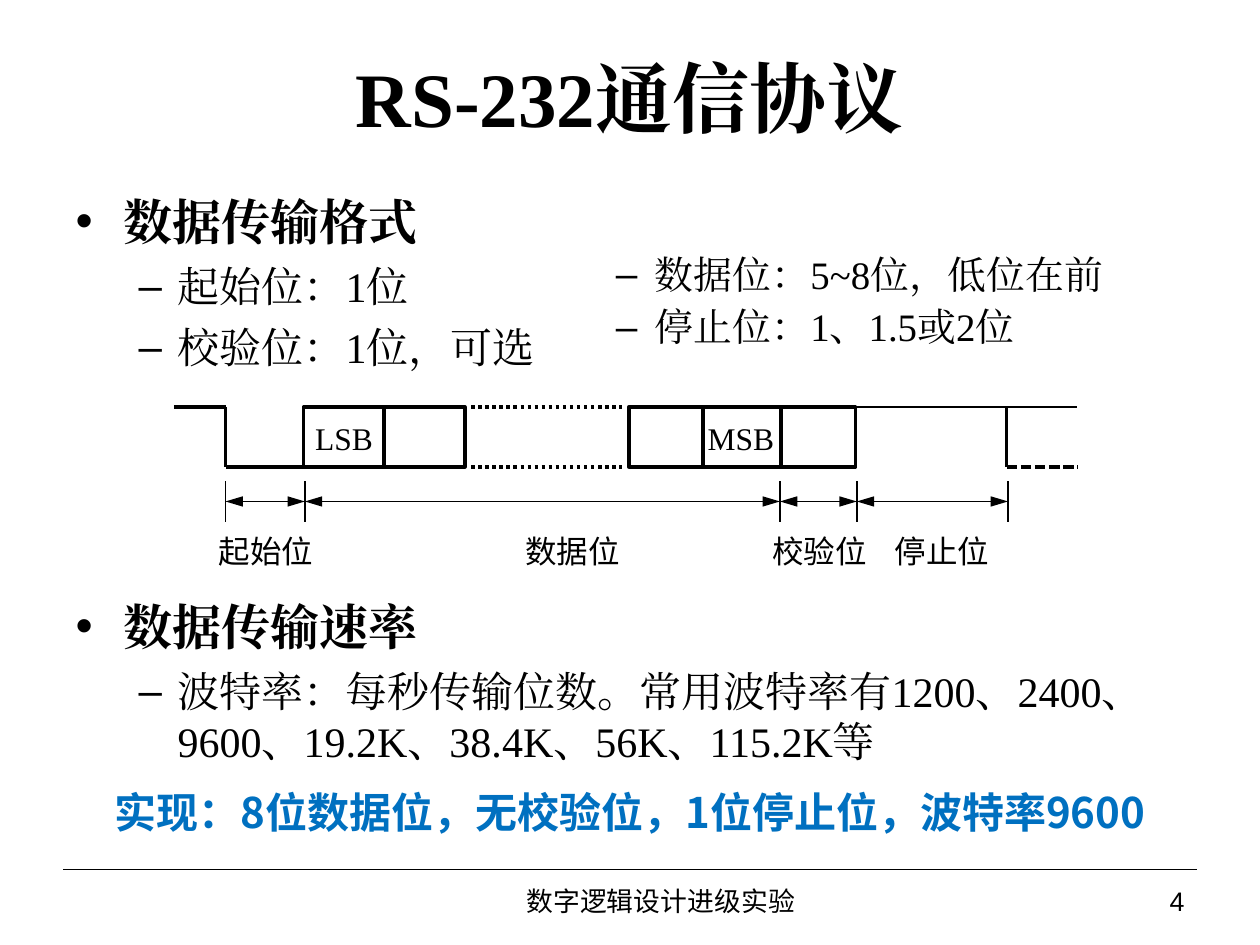
from typing import NamedTuple

import pptx
import pptx.dml.color
import pptx.enum.dml
import pptx.enum.shapes
import pptx.enum.text
import pptx.oxml
import pptx.oxml.ns
import pptx.util
from lxml import etree

COLS, ROWS = 100, 75
HUES = {"ink": "000000", "note": "0070C0"}
SERIF, SANS, HAN = "Times New Roman", "Arial", "Noto Sans CJK SC"
ALIGN = pptx.enum.text.PP_ALIGN
DASH = pptx.enum.dml.MSO_LINE
MID = pptx.enum.text.MSO_ANCHOR.MIDDLE
TOP = pptx.enum.text.MSO_ANCHOR.TOP
qn = pptx.oxml.ns.qn

deck = pptx.Presentation()
deck.slide_width = pptx.util.Inches(10)
deck.slide_height = pptx.util.Inches(7.5)
slide = deck.slides.add_slide(deck.slide_layouts[1])


class Box(NamedTuple):
    """Left, top, width and height in grid columns and rows."""
    x: float
    y: float
    w: float
    h: float


class Item(NamedTuple):
    text: str
    level: int
    gap: float = 6


class Label(NamedTuple):
    text: str
    box: Box
    font: str = HAN
    align: ALIGN = ALIGN.CENTER


class Wire(NamedTuple):
    start: tuple
    end: tuple
    width: float = 2
    dash: DASH = DASH.SOLID
    arrows: bool = False


def across(cols: float) -> int:
    return round(deck.slide_width * cols / COLS)


def down(rows: float) -> int:
    return round(deck.slide_height * rows / ROWS)


def rgb(hue: str) -> pptx.dml.color.RGBColor:
    return pptx.dml.color.RGBColor.from_string(HUES[hue])


def place(shape, box: Box) -> None:
    shape.left, shape.top = across(box.x), down(box.y)
    shape.width, shape.height = across(box.w), down(box.h)


def write(para, text: str, *, size: float, font: str = SERIF, hue: str = "ink",
          bold: bool = False, align: ALIGN = ALIGN.LEFT, gap: float = 0,
          lead: float = 1) -> None:
    para.alignment, para.line_spacing = align, lead
    para.space_before = pptx.util.Pt(gap)
    run = para.add_run()
    run.text = text
    face = run.font
    face.size, face.bold, face.name = pptx.util.Pt(size), bold, font
    face.color.rgb = rgb(hue)
    latin = run._r.rPr.find(qn("a:latin"))
    east = etree.Element(qn("a:ea"), typeface=font)
    latin.addnext(east)


def frame(shape, side: float = 0.1, anchor=TOP):
    text = shape.text_frame
    text.word_wrap = True
    text.auto_size = pptx.enum.text.MSO_AUTO_SIZE.NONE
    text.vertical_anchor = anchor
    text.margin_left = text.margin_right = pptx.util.Inches(side)
    text.margin_top = text.margin_bottom = pptx.util.Inches(0.05)
    return text


def label(text: str, box: Box, side: float = 0, anchor=TOP, **form) -> None:
    shape = slide.shapes.add_textbox(0, 0, 0, 0)
    place(shape, box)
    write(frame(shape, side, anchor).paragraphs[0], text, **form)


def fill(shape, items: list[Item], sizes: tuple, lead: float = 1) -> None:
    """Write a two-level bulleted list into a shape."""
    text = frame(shape)
    for i, item in enumerate(items):
        para = text.add_paragraph() if i else text.paragraphs[0]
        para.level = item.level
        mark, left, hang = (("•", 0.38, 0.38), ("–", 0.81, 0.31))[item.level]
        props = para._p.get_or_add_pPr()
        props.set("marL", str(pptx.util.Inches(left)))
        props.set("indent", str(-pptx.util.Inches(hang)))
        etree.SubElement(props, qn("a:buFont"), typeface=SANS)
        etree.SubElement(props, qn("a:buChar"), char=mark)
        write(para, item.text, size=sizes[item.level], bold=item.level == 0,
              gap=item.gap if i else 0, lead=lead)


def draw(wire: Wire) -> None:
    (x1, y1), (x2, y2) = wire.start, wire.end
    link = slide.shapes.add_connector(
        pptx.enum.shapes.MSO_CONNECTOR.STRAIGHT,
        across(x1), down(y1), across(x2), down(y2))
    link.line.color.rgb = rgb("ink")
    link.line.width = pptx.util.Pt(wire.width)
    if wire.dash != DASH.SOLID:
        link.line.dash_style = wire.dash
    props = link._element.spPr
    if wire.arrows:
        for tip in ("a:headEnd", "a:tailEnd"):
            etree.SubElement(props.find(qn("a:ln")), qn(tip),
                             type="triangle", w="med", len="lg")
    etree.SubElement(props, qn("a:effectLst"))


def cell(box: Box) -> None:
    shape = slide.shapes.add_shape(
        pptx.enum.shapes.MSO_SHAPE.RECTANGLE, 0, 0, 0, 0)
    place(shape, box)
    shape.shadow.inherit = False
    shape.fill.background()
    shape.line.color.rgb = rgb("ink")
    shape.line.width = pptx.util.Pt(2)


def signal() -> None:
    """Draw the serial frame with its bit cells and dimension arrows."""
    high, low = 32.3, 37.05
    for x, w in ((24.1, 6.4), (30.5, 6.4), (49.9, 5.9), (55.8, 6.2), (62, 5.9)):
        cell(Box(x, high, w, low - high))
    for wire in (
        Wire((13.8, high), (17.9, high)),
        Wire((17.9, high), (17.9, low)),
        Wire((17.9, low), (24.2, low)),
        Wire((37.4, high), (49.4, high), dash=DASH.ROUND_DOT),
        Wire((37.4, low), (49.4, low), dash=DASH.ROUND_DOT),
        Wire((68, high), (85.5, high), 1.5),
        Wire((79.9, high), (79.9, low)),
        Wire((79.9, low), (85.5, low), dash=DASH.SQUARE_DOT),
    ):
        draw(wire)
    ticks = (17.9, 24.2, 61.9, 68, 80)
    for x in ticks:
        draw(Wire((x, 41.4), (x, 38.2), 1))
    for x1, x2 in zip(ticks, ticks[1:]):
        draw(Wire((x1, 39.8), (x2, 39.8), 0.75, arrows=True))
    for part in (
        Label("LSB", Box(22.9, 32.8, 8.8, 4), SERIF),
        Label("MSB", Box(54.4, 32.8, 8.8, 4), SERIF),
        Label("起始位", Box(16.9, 41.7, 8.4, 4)),
        Label("数据位", Box(37.8, 41.7, 15.3, 4)),
        Label("校验位", Box(60.6, 41.7, 8.9, 4)),
        Label("停止位", Box(71, 41.7, 15.4, 4), align=ALIGN.LEFT),
    ):
        label(part.text, part.box, size=18, font=part.font, align=part.align)


def main() -> None:
    title, body = slide.placeholders
    place(title, Box(5, 3, 90, 9.3))
    write(frame(title, anchor=MID).paragraphs[0], "RS-232通信协议",
          size=44, bold=True, align=ALIGN.CENTER)
    place(body, Box(5, 14.7, 90, 53.5))
    fill(body, [
        Item("数据传输格式", 0),
        Item("起始位：1位", 1),
        Item("校验位：1位，可选", 1),
        Item("数据传输速率", 0, 128),
        Item("波特率：每秒传输位数。常用波特率有1200、2400、9600、"
             "19.2K、38.4K、56K、115.2K等", 1),
    ], (28, 24))
    signal()
    more = slide.shapes.add_textbox(0, 0, 0, 0)
    place(more, Box(42.9, 19.8, 50, 11.4))
    fill(more, [Item("数据位：5~8位，低位在前", 1),
                Item("停止位：1、1.5或2位", 1)], (28, 22.2), 0.9)
    label("实现：8位数据位，无校验位，1位停止位，波特率9600",
          Box(5, 61.9, 90, 5), size=24, font=HAN, hue="note", bold=True,
          align=ALIGN.CENTER)
    draw(Wire((5, 69), (95, 69), 0.75))
    foot = {"side": 0.1, "anchor": MID, "size": 15.3, "font": SANS, "lead": 0.9}
    label("数字逻辑设计进级实验", Box(28.3, 69.8, 48.3, 3.7),
          align=ALIGN.CENTER, **foot)
    label("4", Box(77.5, 69.8, 17.5, 3.7), align=ALIGN.RIGHT, **foot)
    deck.save("out.pptx")


if __name__ == "__main__":
    main()
